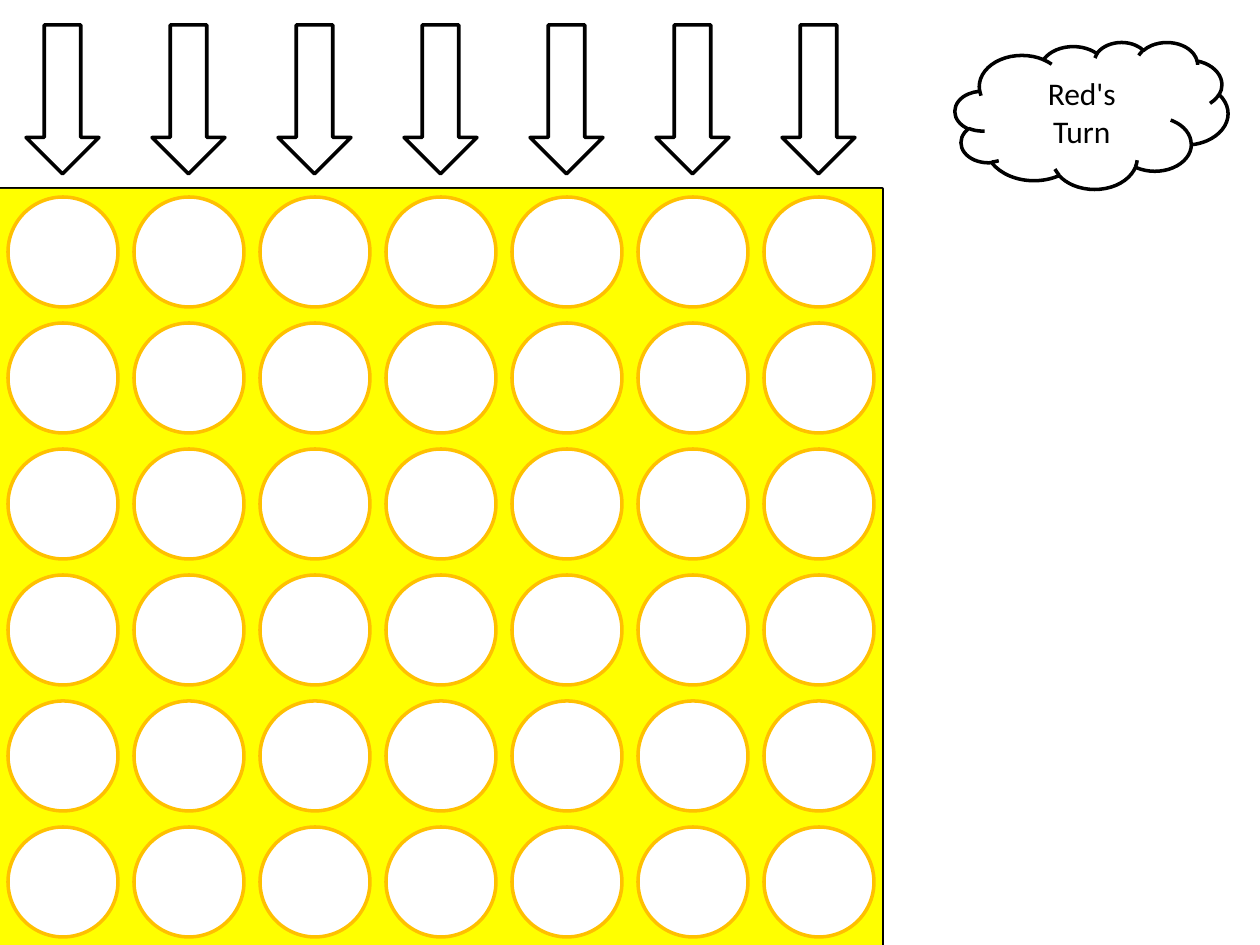
from dataclasses import dataclass

from pptx import Presentation
from pptx.dml.color import RGBColor
from pptx.enum.shapes import MSO_SHAPE
from pptx.enum.text import MSO_ANCHOR, PP_ALIGN
from pptx.util import Emu, Pt

ROWS, COLUMNS = 6, 7


@dataclass(frozen=True)
class Theme:
    """Colours, font and sizes of the game slide."""
    board: RGBColor = RGBColor(0xFF, 0xFF, 0x00)
    ring: RGBColor = RGBColor(0xFF, 0xC0, 0x00)
    ink: RGBColor = RGBColor(0x00, 0x00, 0x00)
    paper: RGBColor = RGBColor(0xFF, 0xFF, 0xFF)
    font: str = "Calibri"
    text_size: Pt = Pt(18)
    line_width: Pt = Pt(2)


THEME = Theme()


def px(length):
    """Turn pixels at 126 to the inch into EMU."""
    return Emu(round(length * 914400 / 126))


def add_figure(shapes, kind, box, fill=None, line=None):
    """Add a preset shape with a plain fill and line, or none."""
    shape = shapes.add_shape(kind, *map(px, box))
    shape.shadow.inherit = False
    if fill is None:
        shape.fill.background()
    else:
        shape.fill.solid()
        shape.fill.fore_color.rgb = fill
    if line is None:
        shape.line.fill.background()
    else:
        shape.line.color.rgb = line
        shape.line.width = THEME.line_width
    return shape


def add_board(slide, box, inset=8):
    """Draw the grouped board: an outline and a grid of cells with round holes."""
    left, top, width, height = box
    cell_width, cell_height = width // COLUMNS, height // ROWS
    shapes = slide.shapes.add_group_shape().shapes
    add_figure(shapes, MSO_SHAPE.RECTANGLE, box, line=THEME.ink)
    for row in range(ROWS):
        for column in range(COLUMNS):
            x, y = left + column * cell_width, top + row * cell_height
            add_figure(shapes, MSO_SHAPE.RECTANGLE,
                       (x, y, cell_width, cell_height), fill=THEME.board)
            hole = (x + inset, y + inset, cell_width - 2 * inset, cell_height - 2 * inset)
            add_figure(shapes, MSO_SHAPE.OVAL, hole, THEME.paper, THEME.ring)


def add_drop_arrows(slide, box, thickness=73):
    """Draw one downward arrow centred over each board column."""
    left, top, width, length = box
    pitch = width // COLUMNS
    for column in range(COLUMNS):
        x = left + column * pitch + (pitch - length) // 2
        y = top + (length - thickness) // 2
        arrow = add_figure(slide.shapes, MSO_SHAPE.RIGHT_ARROW,
                           (x, y, length, thickness), THEME.paper, THEME.ink)
        arrow.rotation = 90


def add_turn_cloud(slide, box, lines):
    """Draw the cloud that tells whose turn it is."""
    cloud = add_figure(slide.shapes, MSO_SHAPE.CLOUD, box, THEME.paper, THEME.ink)
    frame = cloud.text_frame
    frame.word_wrap = True
    frame.vertical_anchor = MSO_ANCHOR.MIDDLE
    frame.text = "\n".join(lines)
    for paragraph in frame.paragraphs:
        paragraph.alignment = PP_ALIGN.CENTER
        paragraph.font.name = THEME.font
        paragraph.font.size = THEME.text_size
        paragraph.font.color.rgb = THEME.ink


def main():
    """Build and save the game slide."""
    presentation = Presentation()
    presentation.slide_width, presentation.slide_height = px(1260), px(945)
    slide = presentation.slides.add_slide(presentation.slide_layouts[6])
    add_board(slide, (0, 189, 882, 756))
    add_drop_arrows(slide, (0, 25, 882, 149))
    add_turn_cloud(slide, (955, 42, 273, 147), ["Red's", "Turn"])
    presentation.save("out.pptx")


if __name__ == "__main__":
    main()
